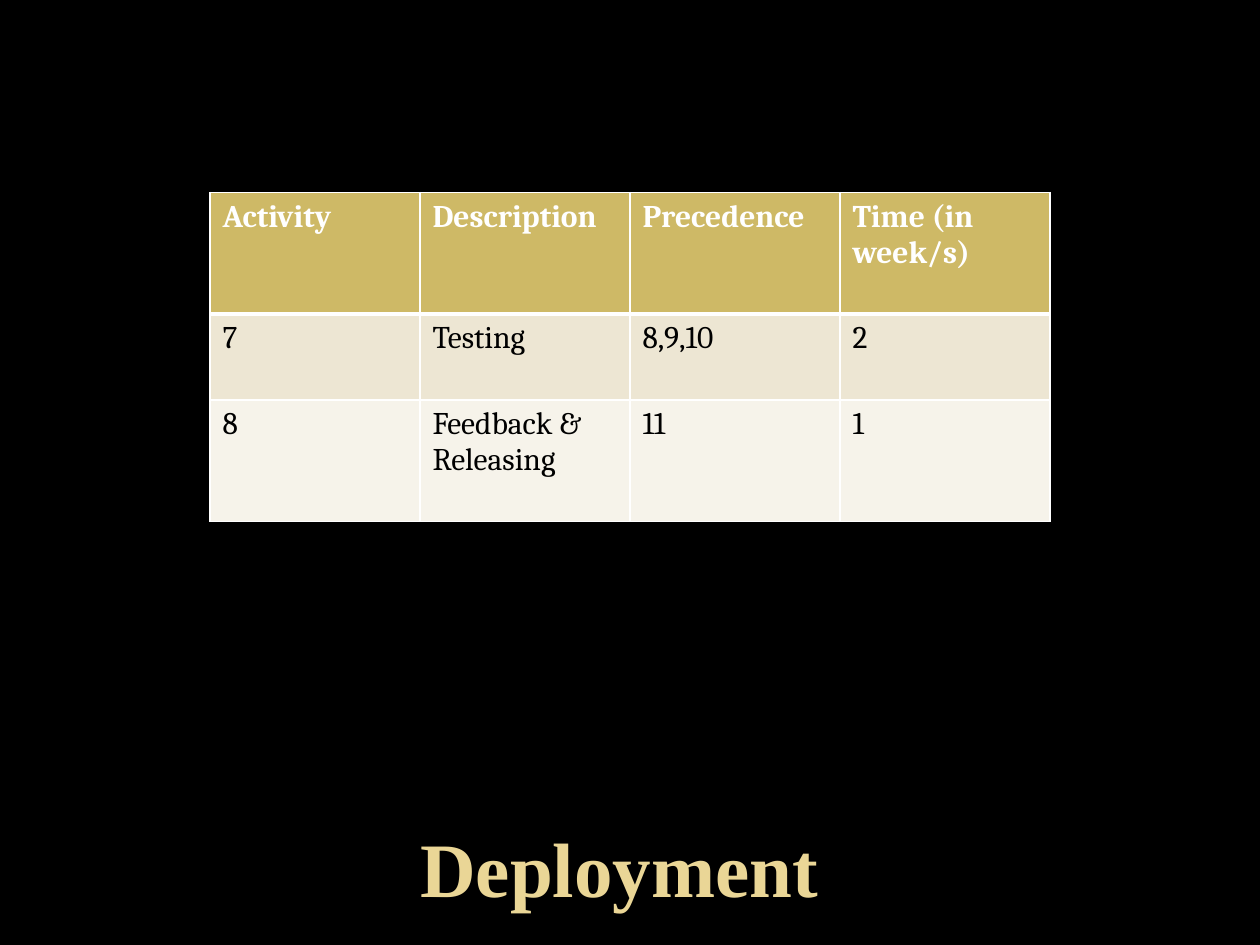
"""Build the Deployment slide: an activity table above a large title."""
from lxml import etree
from pptx import Presentation
from pptx.dml.color import RGBColor
from pptx.enum.text import MSO_ANCHOR, PP_ALIGN
from pptx.oxml.ns import qn
from pptx.util import Pt

MIDDLE, CENTER = MSO_ANCHOR.MIDDLE, PP_ALIGN.CENTER
THEME = {
    "background": "000000",
    "border": "FFFFFF",
    "fills": ["CEB966", "EDE6D3", "F6F3EA"],
    "title": {"name": "Times New Roman", "size": Pt(44), "bold": True, "color": "EAD696"},
    "header": {"name": "Cambria", "size": Pt(18), "bold": True, "color": "FFFFFF"},
    "body": {"name": "Cambria", "size": Pt(18), "bold": False, "color": "000000"},
}
ROWS = [
    ["Activity", "Description", "Precedence", "Time (in week/s)"],
    ["7", "Testing", "8,9,10", "2"],
    ["8", "Feedback & Releasing", "11", "1"],
]
ROW_HEIGHTS = [69.5, 49, 69.5]
COLUMN_WIDTH = 120


def write(p, text, style):
    r = p.add_run()
    r.text = text
    for name, value in style.items():
        if name == "color":
            r.font.color.rgb = RGBColor.from_string(value)
        else:
            setattr(r.font, name, value)


def add_borders(cell, widths):
    tc_pr = cell._tc.get_or_add_tcPr()
    for i, (side, width) in enumerate(widths.items()):
        ln = etree.Element(qn(f"a:ln{side}"), w=str(Pt(width)))
        fill = etree.SubElement(ln, qn("a:solidFill"))
        etree.SubElement(fill, qn("a:srgbClr"), val=THEME["border"])
        tc_pr.insert(i, ln)


prs = Presentation()
prs.slide_width, prs.slide_height = Pt(720), Pt(540)
s = prs.slides.add_slide(prs.slide_layouts[6])
s.background.fill.solid()
s.background.fill.fore_color.rgb = RGBColor.from_string(THEME["background"])

table = s.shapes.add_table(
    len(ROWS), len(ROWS[0]), Pt(120), Pt(110),
    Pt(COLUMN_WIDTH * len(ROWS[0])), Pt(sum(ROW_HEIGHTS)),
).table
for column in table.columns:
    column.width = Pt(COLUMN_WIDTH)
for i, (values, height) in enumerate(zip(ROWS, ROW_HEIGHTS)):
    table.rows[i].height = Pt(height)
    widths = {"L": 1, "R": 1, "T": 3 if i == 1 else 1, "B": 3 if i == 0 else 1}
    for j, value in enumerate(values):
        cell = table.cell(i, j)
        cell.fill.solid()
        cell.fill.fore_color.rgb = RGBColor.from_string(THEME["fills"][i])
        add_borders(cell, widths)
        write(cell.text_frame.paragraphs[0], value, THEME["body" if i else "header"])

tf = s.shapes.add_textbox(Pt(30), Pt(450), Pt(648), Pt(90)).text_frame
tf.word_wrap = True
tf.vertical_anchor = MIDDLE
p = tf.paragraphs[0]
p.alignment = CENTER
write(p, "Deployment", THEME["title"])

prs.save("out.pptx")
